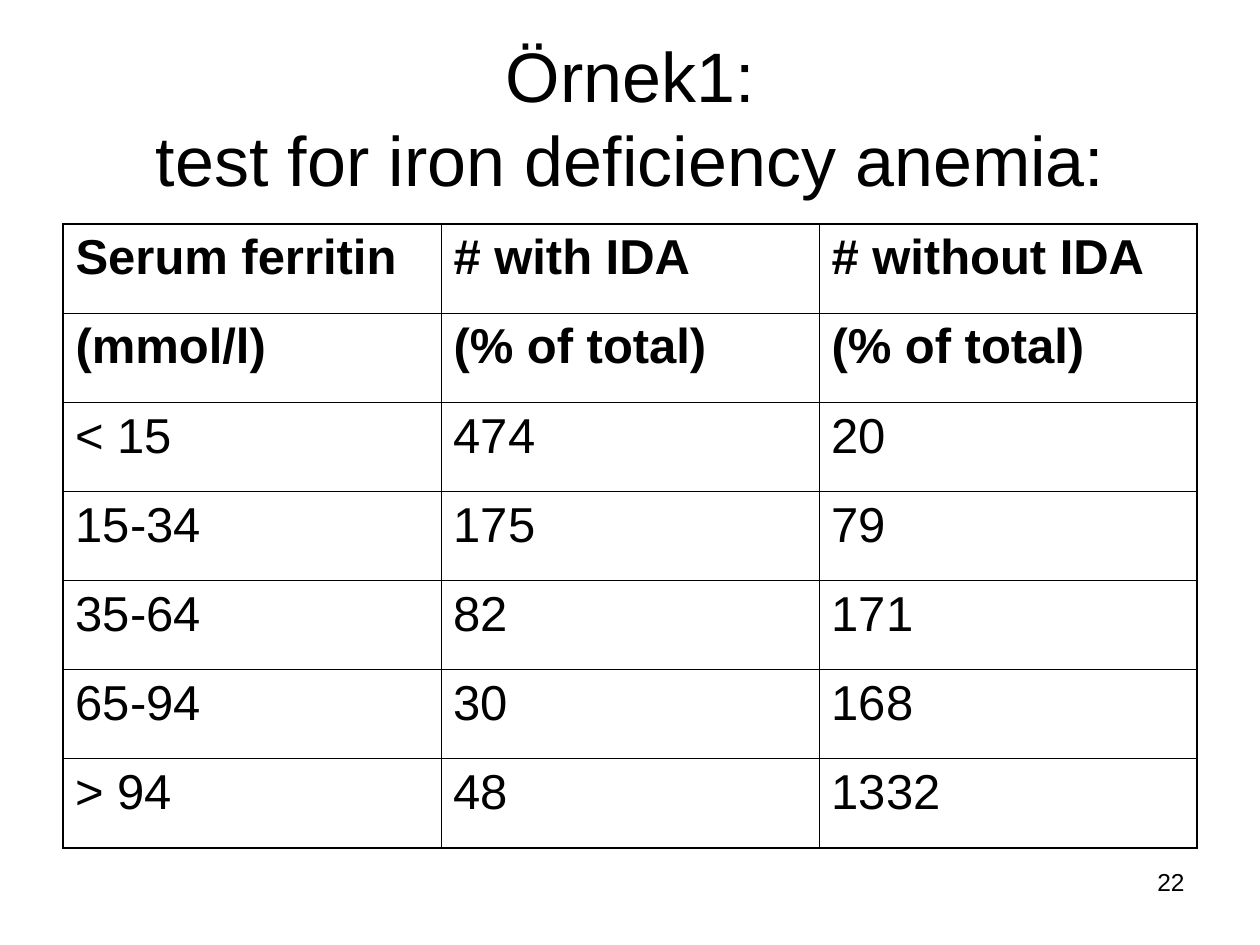
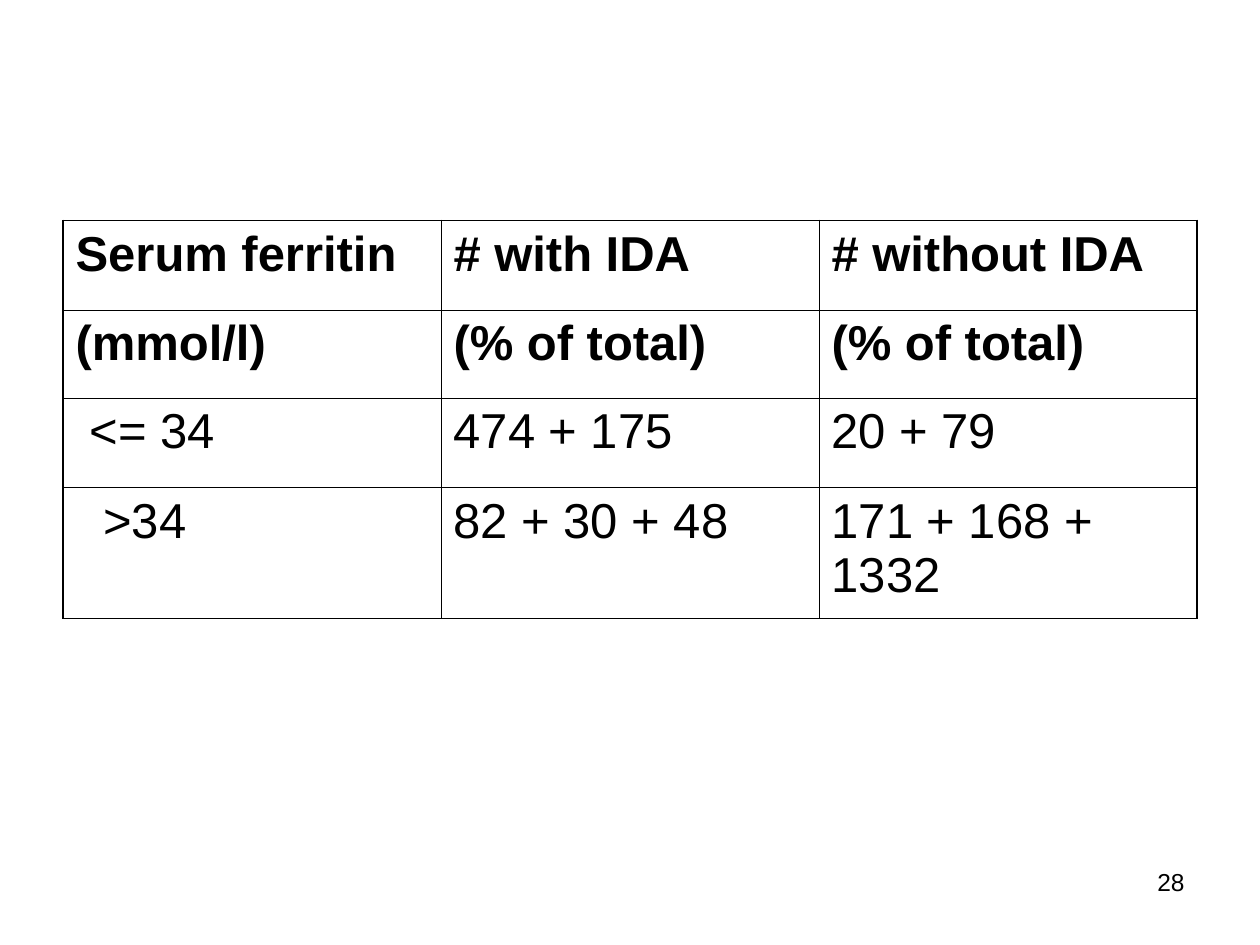
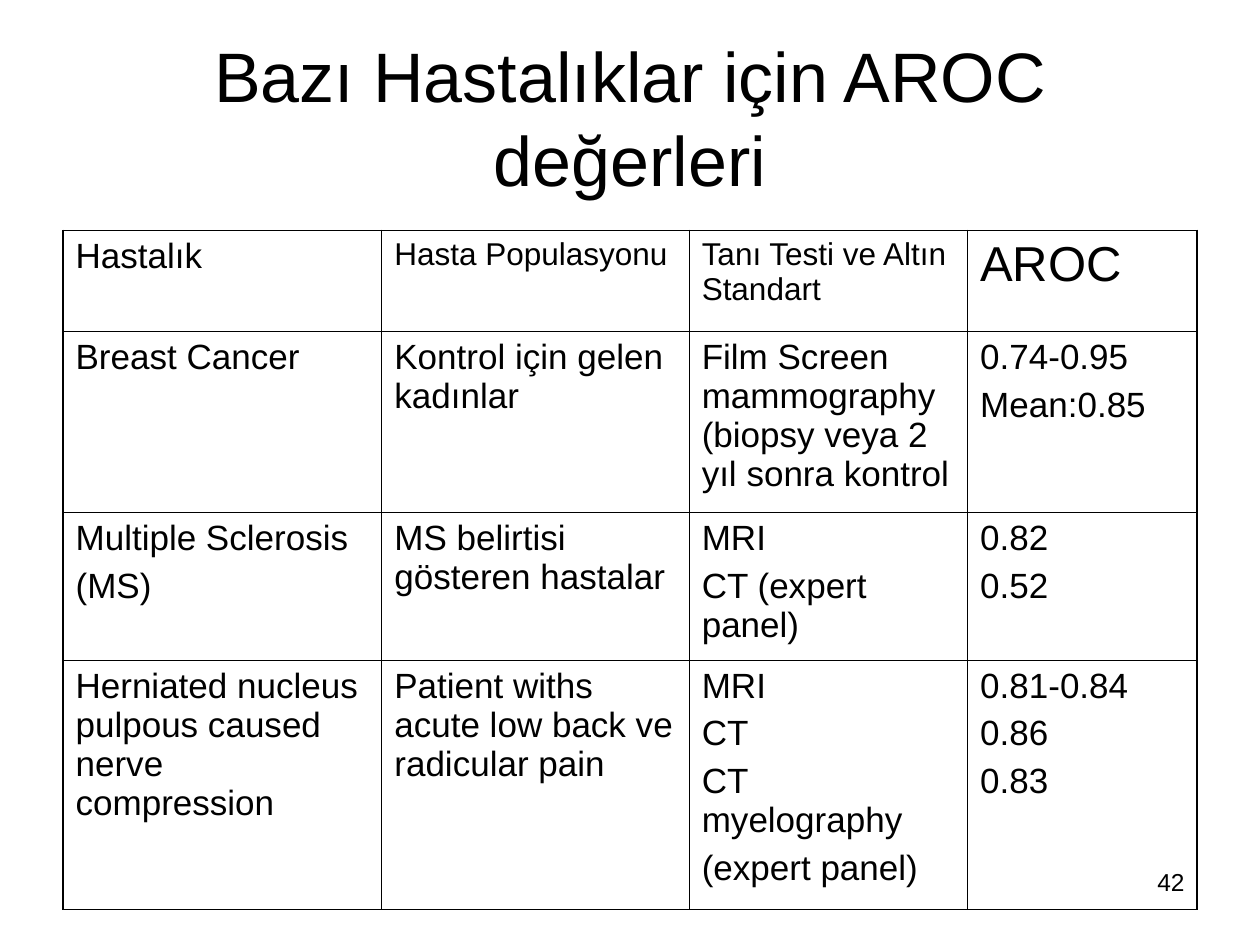
from lxml import etree
from pptx import Presentation
from pptx import util as u
from pptx.dml.color import RGBColor
from pptx.enum import text
from pptx.oxml import ns

COLORS = {"ink": "000000"}
FONT = "Arial"
OUTER, INNER = 1.08, 0.45
LEFT, WIDTH = 0.5, 9


def style_paragraph(paragraph, size, bold=False):
    paragraph.font.name = FONT
    paragraph.font.size = u.Pt(size)
    paragraph.font.bold = bold
    paragraph.font.color.rgb = RGBColor.from_string(COLORS["ink"])


def add_border(cell, side, width):
    properties = cell._tc.get_or_add_tcPr()
    line = etree.SubElement(properties, ns.qn(f"a:ln{side}"), w=str(u.Pt(width)))
    fill = etree.SubElement(line, ns.qn("a:solidFill"))
    etree.SubElement(fill, ns.qn("a:srgbClr"), val=COLORS["ink"])


ferritin_header = [
    ["Serum ferritin", "# with IDA", "# without IDA"],
    ["(mmol/l)", "(% of total)", "(% of total)"],
]

pages = [
    {
        "title": "Örnek1:\vtest for iron deficiency anemia:",
        "number": 22,
        "top": 1.78,
        "columns": [3] * 3,
        "heights": [4.95 / 7] * 7,
        "size": 28,
        "bold_rows": 2,
        "rows": ferritin_header + [
            ["< 15", "474", "20"],
            ["15-34", "175", "79"],
            ["35-64", "82", "171"],
            ["65-94", "30", "168"],
            ["> 94", "48", "1332"],
        ],
    },
    {
        "number": 28,
        "top": 1.75,
        "columns": [3] * 3,
        "heights": [0.71, 0.7, 0.71, 1.04],
        "size": 28,
        "bold_rows": 2,
        "indents": {(2, 0): 0.11, (3, 0): 0.22},
        "rows": ferritin_header + [
            ["<= 34", "474 + 175", "20 + 79"],
            [">34", "82 + 30 + 48", "171 + 168 + 1332"],
        ],
    },
    {
        "title": "Bazı Hastalıklar için AROC değerleri",
        "number": 42,
        "top": 1.83,
        "columns": [2.53, 2.44, 2.21, 1.82],
        "heights": [0.8, 1.44, 1.17, 1.98],
        "size": 20,
        "sizes": {(0, 1): 18, (0, 2): 18, (0, 3): 28},
        "rows": [
            ["Hastalık", "Hasta Populasyonu", "Tanı Testi ve Altın Standart", "AROC"],
            ["Breast Cancer", "Kontrol için gelen kadınlar",
             "Film Screen mammography (biopsy veya 2 yıl sonra kontrol",
             "0.74-0.95\nMean:0.85"],
            ["Multiple Sclerosis\n(MS)", "MS belirtisi gösteren hastalar",
             "MRI\nCT (expert panel)", "0.82\n0.52"],
            ["Herniated nucleus pulpous caused nerve compression",
             "Patient withs acute low back ve radicular pain",
             "MRI\nCT\nCT myelography\n(expert panel)", "0.81-0.84\n0.86\n0.83"],
        ],
    },
]

presentation = Presentation()
presentation.slide_width = u.Inches(10)
presentation.slide_height = u.Inches(7.5)
title_only, blank = presentation.slide_layouts[5], presentation.slide_layouts[6]

for page in pages:
    slide = presentation.slides.add_slide(title_only if "title" in page else blank)
    if "title" in page:
        title = slide.shapes.title
        title.left, title.top = u.Inches(LEFT), u.Inches(0.3)
        title.width, title.height = u.Inches(WIDTH), u.Inches(1.25)
        title.text_frame.text = page["title"]
        title.text_frame.auto_size = text.MSO_AUTO_SIZE.NONE
        title.text_frame.vertical_anchor = text.MSO_ANCHOR.MIDDLE
        paragraph = title.text_frame.paragraphs[0]
        paragraph.alignment = text.PP_ALIGN.CENTER
        style_paragraph(paragraph, 40)

    rows, columns, heights = page["rows"], page["columns"], page["heights"]
    table = slide.shapes.add_table(
        len(rows), len(columns), u.Inches(LEFT), u.Inches(page["top"]),
        u.Inches(WIDTH), u.Inches(sum(heights))).table
    table.first_row = False
    table.horz_banding = False
    for column, width in zip(table.columns, columns):
        column.width = u.Inches(width)

    last_row, last_column = len(rows) - 1, len(columns) - 1
    for r, values in enumerate(rows):
        table.rows[r].height = u.Inches(heights[r])
        for c, value in enumerate(values):
            cell = table.cell(r, c)
            cell.text = value
            cell.margin_left = u.Inches(0.1 + page.get("indents", {}).get((r, c), 0))
            size = page.get("sizes", {}).get((r, c), page["size"])
            for paragraph in cell.text_frame.paragraphs:
                paragraph.space_before = u.Pt(size / 4)
                style_paragraph(paragraph, size, r < page.get("bold_rows", 0))
            edges = {"L": c == 0, "R": c == last_column, "T": r == 0, "B": r == last_row}
            for side, is_outer in edges.items():
                add_border(cell, side, OUTER if is_outer else INNER)
            cell.fill.background()

    number_box = slide.shapes.add_textbox(
        u.Inches(7.17), u.Inches(6.83), u.Inches(2.33), u.Inches(0.52))
    number_box.text_frame.word_wrap = True
    paragraph = number_box.text_frame.paragraphs[0]
    paragraph.text = str(page["number"])
    paragraph.alignment = text.PP_ALIGN.RIGHT
    style_paragraph(paragraph, 14)

presentation.save("out.pptx")
